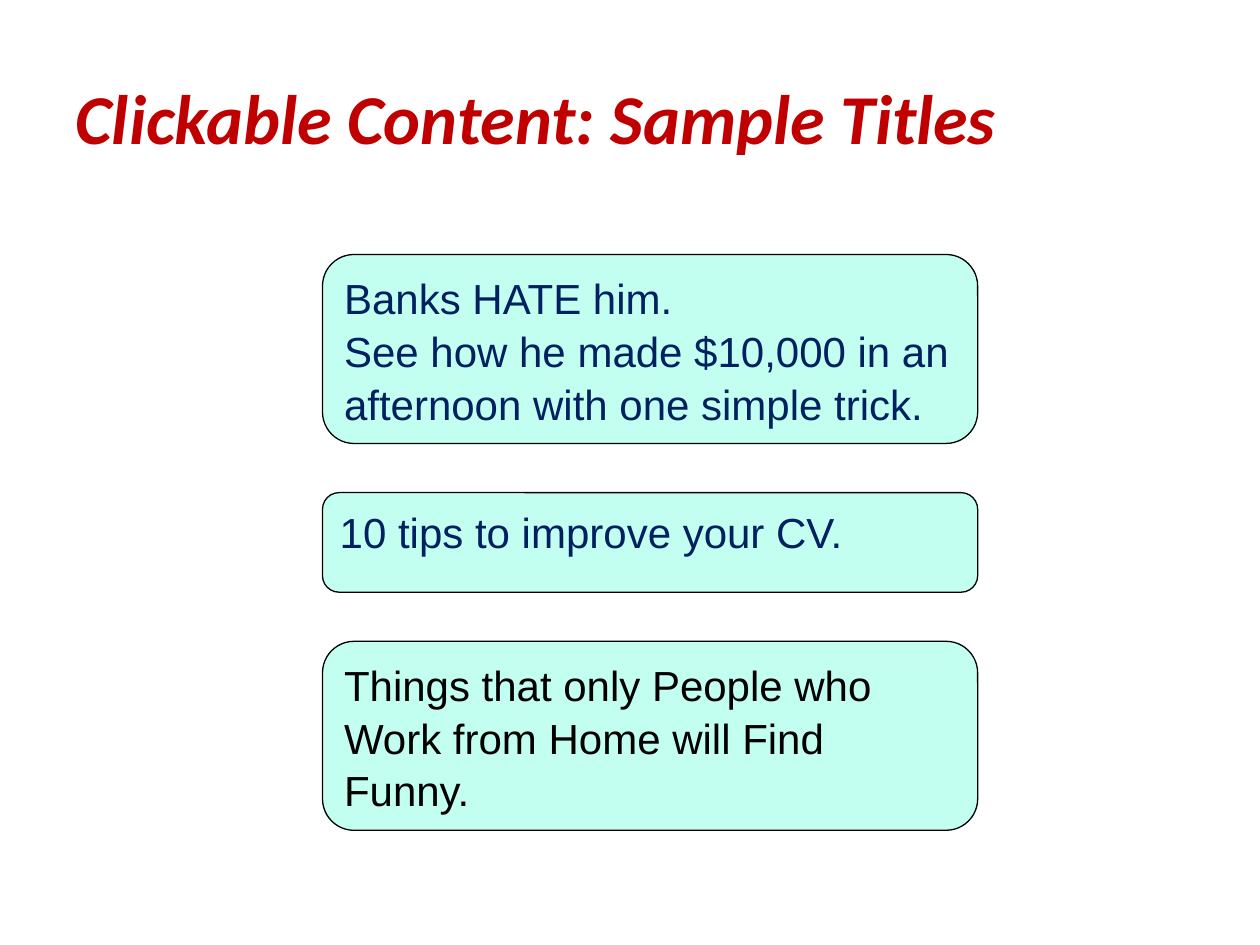
from pptx import Presentation
from pptx.dml.color import RGBColor
from pptx.enum.shapes import MSO_SHAPE as Shape
from pptx.enum.text import MSO_ANCHOR as Anchor, PP_ALIGN as Align
from pptx.util import Inches, Pt

# Content
TITLE = "Clickable Content: Sample Titles"
NAVY, BLACK, MINT, RED = "002060", "000000", "C2FFF0", "C00000"
HEADLINES = [  # lines, height, text colour
    (["Banks HATE him.",
      "See how he made $10,000 in an afternoon with one simple trick."], 1.5, NAVY),
    (["10 tips to improve your CV."], 0.79, NAVY),
    (["Things that only People who Work from Home will Find Funny."], 1.5, BLACK),
]
LEFT, TOP, WIDTH, GAP = 2.56, 2.02, 5.2, 0.39


def color(hex_code):
    return RGBColor.from_string(hex_code)


def add_span(para, text, font, size, hex_code):
    span = para.add_run()
    span.text = text
    span.font.name = font
    span.font.size = Pt(size)
    span.font.color.rgb = color(hex_code)
    return span


def add_headline(slide, lines, top, height, hex_code):
    box = slide.shapes.add_shape(Shape.ROUNDED_RECTANGLE, Inches(LEFT), Inches(top),
                                 Inches(WIDTH), Inches(height))
    box.shadow.inherit = False
    box.fill.solid()
    box.fill.fore_color.rgb = color(MINT)
    box.line.color.rgb = color(BLACK)
    box.line.width = Pt(0.75)
    frame = box.text_frame
    frame.word_wrap = True
    frame.vertical_anchor = Anchor.TOP
    para = frame.paragraphs[0]
    para.alignment = Align.LEFT
    para.line_spacing = 1.05
    for index, line in enumerate(lines):
        if index:
            para.add_line_break()
        add_span(para, line, "Arial", 24, hex_code)


deck = Presentation()
deck.slide_width, deck.slide_height = Inches(10), Inches(7.5)
slide = deck.slides.add_slide(deck.slide_layouts[5])

# Title
title = slide.shapes.title
title.left, title.top = Inches(0.5), Inches(0.3)
title.width, title.height = Inches(9), Inches(1.25)
title.text_frame.vertical_anchor = Anchor.MIDDLE
title_para = title.text_frame.paragraphs[0]
title_para.alignment = Align.LEFT
title_span = add_span(title_para, TITLE, "Calibri", 40, RED)
title_span.font.bold = title_span.font.italic = True

# Sample headlines, stacked with equal gaps
top = TOP
for lines, height, hex_code in HEADLINES:
    add_headline(slide, lines, top, height, hex_code)
    top += height + GAP

deck.save("out.pptx")
